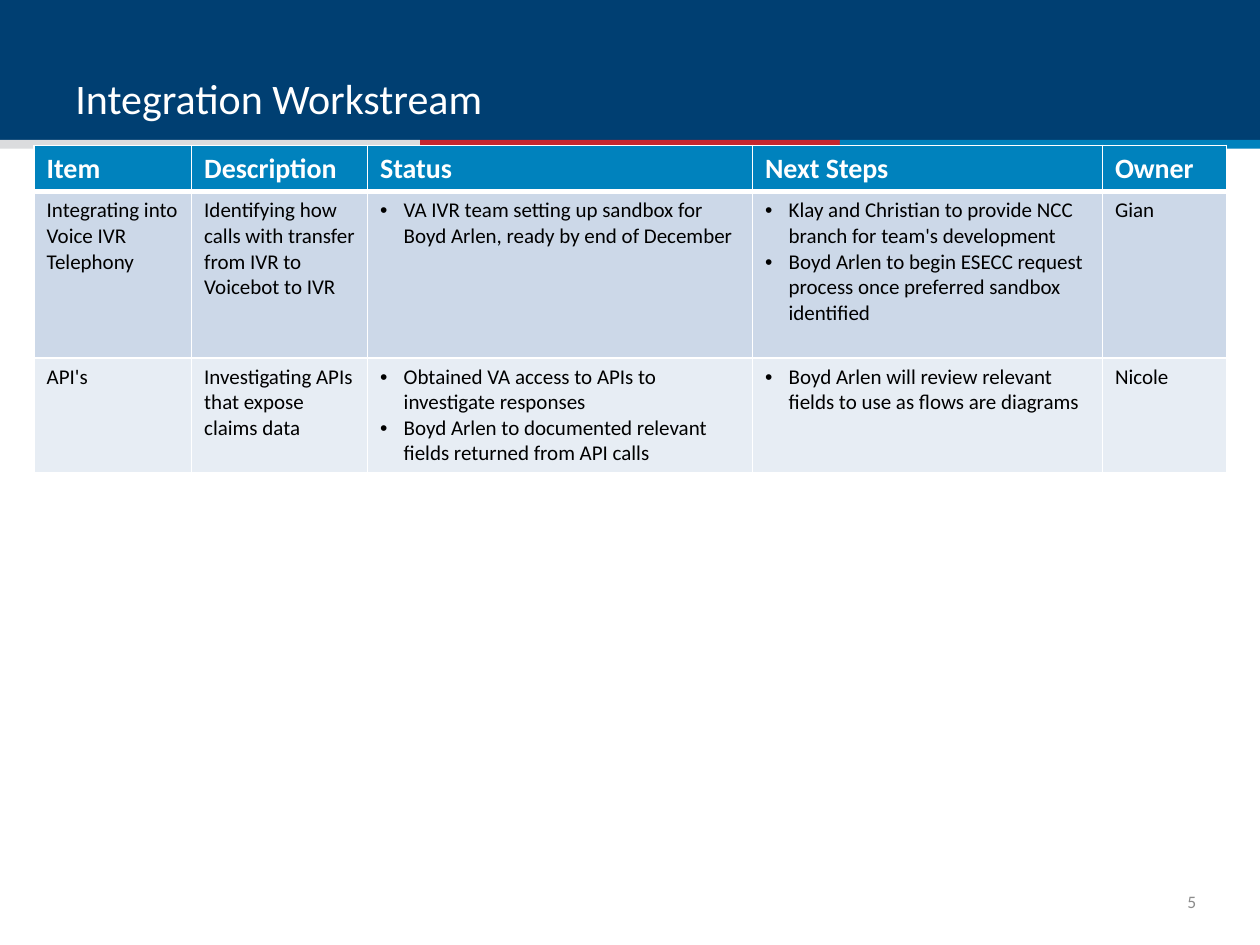
import pptx
import pptx.util
import pptx.dml.color
import pptx.enum.shapes
import pptx.enum.text
import pptx.oxml
import pptx.oxml.ns
from lxml import etree

Pt = pptx.util.Pt
Anchor = pptx.enum.text.MSO_ANCHOR
Align = pptx.enum.text.PP_ALIGN

COLORS = {
    "navy": "003F72",
    "silver": "DBDCDE",
    "red": "C6262D",
    "blue": "0082BD",
    "white": "FFFFFF",
    "black": "000000",
    "gray": "8C8C8C",
    "band_dark": "CCD8E8",
    "band_light": "E7EDF4",
}


class SlideBuilder:
    font = "Calibri"
    bullet_indent = 13.5

    def __init__(self, slide):
        self.slide = slide

    def color(self, name):
        return pptx.dml.color.RGBColor.from_string(COLORS[name])

    def bar(self, left, top, width, height, color):
        bar = self.slide.shapes.add_shape(
            pptx.enum.shapes.MSO_SHAPE.RECTANGLE,
            Pt(left), Pt(top), Pt(width), Pt(height))
        bar.shadow.inherit = False
        bar.fill.solid()
        bar.fill.fore_color.rgb = self.color(color)
        bar.line.fill.background()

    def run(self, paragraph, text, size, color, bold=False):
        run = paragraph.add_run()
        run.text = text
        run.font.name = self.font
        run.font.size = Pt(size)
        run.font.bold = bold
        run.font.color.rgb = self.color(color)

    def text(self, box, text, size, color, anchor, align=Align.LEFT, inset=(0, 0)):
        frame = self.slide.shapes.add_textbox(*map(Pt, box)).text_frame
        frame.word_wrap = True
        frame.vertical_anchor = anchor
        frame.margin_left = frame.margin_right = Pt(inset[0])
        frame.margin_top = frame.margin_bottom = Pt(inset[1])
        paragraph = frame.paragraphs[0]
        paragraph.alignment = align
        self.run(paragraph, text, size, color)

    def bullet(self, paragraph):
        properties = paragraph._p.get_or_add_pPr()
        properties.set("marL", str(Pt(self.bullet_indent)))
        properties.set("indent", str(-Pt(self.bullet_indent)))
        font = etree.SubElement(properties, pptx.oxml.ns.qn("a:buFont"))
        font.set("typeface", "Arial")
        mark = etree.SubElement(properties, pptx.oxml.ns.qn("a:buChar"))
        mark.set("char", "•")

    def borders(self, cell, widths):
        properties = cell._tc.get_or_add_tcPr()
        for side, width in widths.items():
            properties.append(pptx.oxml.parse_xml(
                f'<a:ln{side} {pptx.oxml.ns.nsdecls("a")} w="{Pt(width)}">'
                f'<a:solidFill><a:srgbClr val="{COLORS["white"]}"/></a:solidFill>'
                f'</a:ln{side}>'))

    def cell(self, cell, content, size, color, fill, bold, widths):
        self.borders(cell, widths)
        cell.fill.solid()
        cell.fill.fore_color.rgb = self.color(fill)
        bulleted = isinstance(content, list)
        lines = content if bulleted else [content]
        for index, line in enumerate(lines):
            frame = cell.text_frame
            paragraph = frame.add_paragraph() if index else frame.paragraphs[0]
            if bulleted:
                self.bullet(paragraph)
            self.run(paragraph, line, size, color, bold)

    def table(self, left, top, widths, heights, rows):
        table = self.slide.shapes.add_table(
            len(rows), len(widths), Pt(left), Pt(top),
            Pt(sum(widths)), Pt(sum(heights))).table
        for column, width in zip(table.columns, widths):
            column.width = Pt(width)
        for index, (height, contents) in enumerate(zip(heights, rows)):
            table.rows[index].height = Pt(height)
            header = index == 0
            fill = "blue" if header else ("band_light", "band_dark")[index % 2]
            size, color = (16, "white") if header else (12, "black")
            borders = {"L": 1, "R": 1, "T": 3 if index == 1 else 1,
                       "B": 3 if header else 1}
            for column, content in enumerate(contents):
                self.cell(table.cell(index, column), content,
                          size, color, fill, header, borders)


def main():
    presentation = pptx.Presentation()
    presentation.slide_width = Pt(720)
    presentation.slide_height = Pt(540)
    builder = SlideBuilder(
        presentation.slides.add_slide(presentation.slide_layouts[6]))

    builder.bar(0, 0, 720, 82, "navy")
    for index, stripe in enumerate(("silver", "red", "blue")):
        builder.bar(240 * index, 80, 240, 5, stripe)

    builder.text((36, 10, 648, 64), "Integration Workstream", 24, "white",
                 Anchor.BOTTOM, inset=(7.2, 3.6))
    builder.text((664, 500.5, 19.5, 29), "5", 10, "gray",
                 Anchor.MIDDLE, Align.RIGHT)

    workstream = [
        ["Item", "Description", "Status", "Next Steps", "Owner"],
        ["Integrating into Voice IVR Telephony",
         "Identifying how calls with transfer from IVR to Voicebot to IVR",
         ["VA IVR team setting up sandbox for Boyd Arlen, ready by end of December"],
         ["Klay and Christian to provide NCC branch for team's development",
          "Boyd Arlen to begin ESECC request process once preferred sandbox identified"],
         "Gian"],
        ["API's",
         "Investigating APIs that expose claims data",
         ["Obtained VA access to APIs to investigate responses",
          "Boyd Arlen to documented relevant fields returned from API calls"],
         ["Boyd Arlen will review relevant fields to use as flows are diagrams"],
         "Nicole"],
    ]
    builder.table(19.5, 83, (90, 100.5, 220, 200, 71), (26.5, 95, 65.5), workstream)

    presentation.save("out.pptx")


if __name__ == "__main__":
    main()
